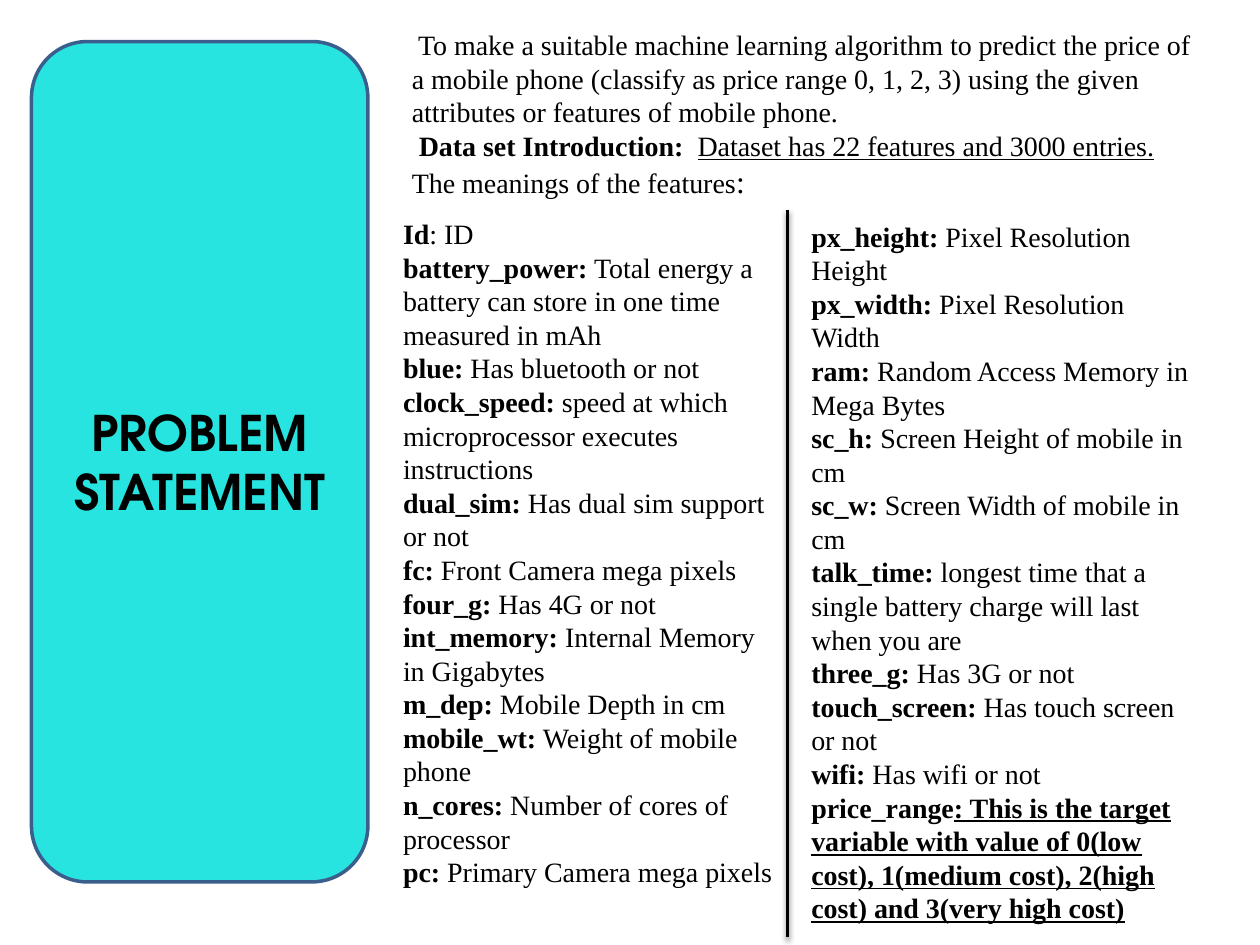
from dataclasses import dataclass

from lxml.etree import SubElement
from pptx import Presentation
from pptx.dml.color import RGBColor
from pptx.enum.shapes import MSO_CONNECTOR as Connector, MSO_SHAPE as Shape
from pptx.enum.text import MSO_ANCHOR as Anchor, PP_ALIGN as Align
from pptx.oxml.ns import qn
from pptx.slide import Slide
from pptx.util import Inches, Pt

LEFT_FEATURES = [
    ("Id", ": ID"),
    ("battery_power:", " Total energy a battery can store in one time measured in mAh"),
    ("blue:", " Has bluetooth or not"),
    ("clock_speed:", " speed at which microprocessor executes instructions"),
    ("dual_sim:", " Has dual sim support or not"),
    ("fc:", " Front Camera mega pixels"),
    ("four_g:", " Has 4G or not"),
    ("int_memory:", " Internal Memory in Gigabytes"),
    ("m_dep:", " Mobile Depth in cm"),
    ("mobile_wt:", " Weight of mobile phone"),
    ("n_cores:", " Number of cores of processor"),
    ("pc:", " Primary Camera mega pixels"),
]
RIGHT_FEATURES = [
    ("px_height:", " Pixel Resolution Height"),
    ("px_width:", " Pixel Resolution Width"),
    ("ram:", " Random Access Memory in Mega Bytes"),
    ("sc_h:", " Screen Height of mobile in cm"),
    ("sc_w:", " Screen Width of mobile in cm"),
    ("talk_time:", " longest time that a single battery charge will last when you are"),
    ("three_g:", " Has 3G or not"),
    ("touch_screen:", " Has touch screen or not"),
    ("wifi:", " Has wifi or not"),
]
TARGET = (": This is the target variable with value of 0(low cost), "
          "1(medium cost), 2(high cost) and 3(very high cost)")
GOAL = ("To make a suitable machine learning algorithm to predict the price of "
        "a mobile phone (classify as price range 0, 1, 2, 3) using the given "
        "attributes or features of mobile phone.")


def color(value):
    return RGBColor.from_string(value)


def run(text, **style):
    return text, style


def feature(label, meaning):
    return [run(label, bold=True), run(meaning)]


@dataclass
class Deck:
    """Holds the text style and the slide being drawn."""

    slide: Slide
    font: str = "Times New Roman"
    size: float = 16
    ink: str = "000000"

    def add_text(self, paragraph, text, font=None, size=None, bold=False, underline=False):
        piece = paragraph.add_run()
        piece.text = text
        piece.font.name = font or self.font
        piece.font.size = Pt(size or self.size)
        piece.font.bold = bold
        piece.font.underline = underline
        piece.font.color.rgb = color(self.ink)

    def panel(self, box, text, fill, border, **style):
        shape = self.slide.shapes.add_shape(Shape.ROUNDED_RECTANGLE, *map(Inches, box))
        shape.shadow.inherit = False
        shape.fill.solid()
        shape.fill.fore_color.rgb = color(fill)
        shape.line.color.rgb = color(border)
        shape.line.width = Pt(2)
        frame = shape.text_frame
        frame.word_wrap = True
        frame.vertical_anchor = Anchor.MIDDLE
        frame.paragraphs[0].alignment = Align.CENTER
        self.add_text(frame.paragraphs[0], text, **style)

    def text_box(self, box, paragraphs):
        frame = self.slide.shapes.add_textbox(*map(Inches, box)).text_frame
        frame.word_wrap = True
        for index, runs in enumerate(paragraphs):
            paragraph = frame.add_paragraph() if index else frame.paragraphs[0]
            for words, style in runs:
                self.add_text(paragraph, words, **style)

    def divider(self, x, top, bottom):
        line = self.slide.shapes.add_connector(
            Connector.STRAIGHT, Inches(x), Inches(top), Inches(x), Inches(bottom))
        line.line.color.rgb = color(self.ink)
        line.line.width = Pt(2)
        effects = SubElement(line._element.spPr, qn("a:effectLst"))
        shadow = SubElement(effects, qn("a:outerShdw"), blurRad=str(Pt(3.1)),
                            dist=str(Pt(1.6)), dir="5400000", rotWithShape="0")
        tint = SubElement(shadow, qn("a:srgbClr"), val=self.ink)
        SubElement(tint, qn("a:alpha"), val="38000")


def main():
    presentation = Presentation()
    presentation.slide_width, presentation.slide_height = Inches(10), Inches(7.5)
    deck = Deck(presentation.slides.add_slide(presentation.slide_layouts[6]))

    deck.panel((0.25, 0.33, 2.67, 6.67), "PROBLEM STATEMENT", "28E4E0", "3A5F8C",
               font="TeX Gyre Adventor", size=28, bold=True)
    deck.text_box((3.17, 0.17, 6.42, 1.5), [
        [run(" ", font="Calibri"), run(GOAL)],
        [run(" Data set Introduction:  ", bold=True),
         run("Dataset has 22 features and 3000 entries.", underline=True),
         run(" The meanings of the features"), run(":", size=18)],
    ])
    deck.text_box((3.1, 1.67, 3.21, 5.79), [feature(*entry) for entry in LEFT_FEATURES])
    target = [run("price_range", bold=True), run(TARGET, bold=True, underline=True)]
    deck.text_box((6.34, 1.69, 3.21, 5.75),
                  [feature(*entry) for entry in RIGHT_FEATURES] + [target])
    deck.divider(6.25, 1.67, 7.44)
    presentation.save("out.pptx")


if __name__ == "__main__":
    main()
